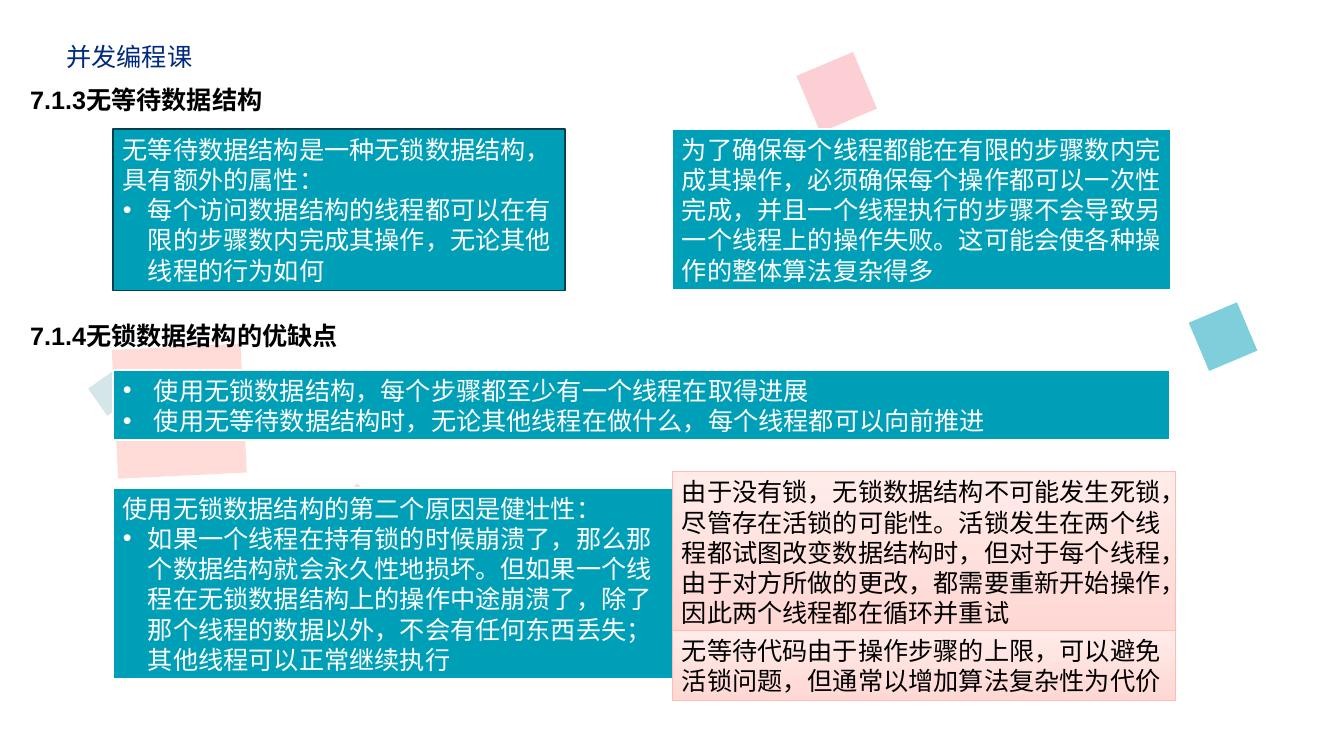
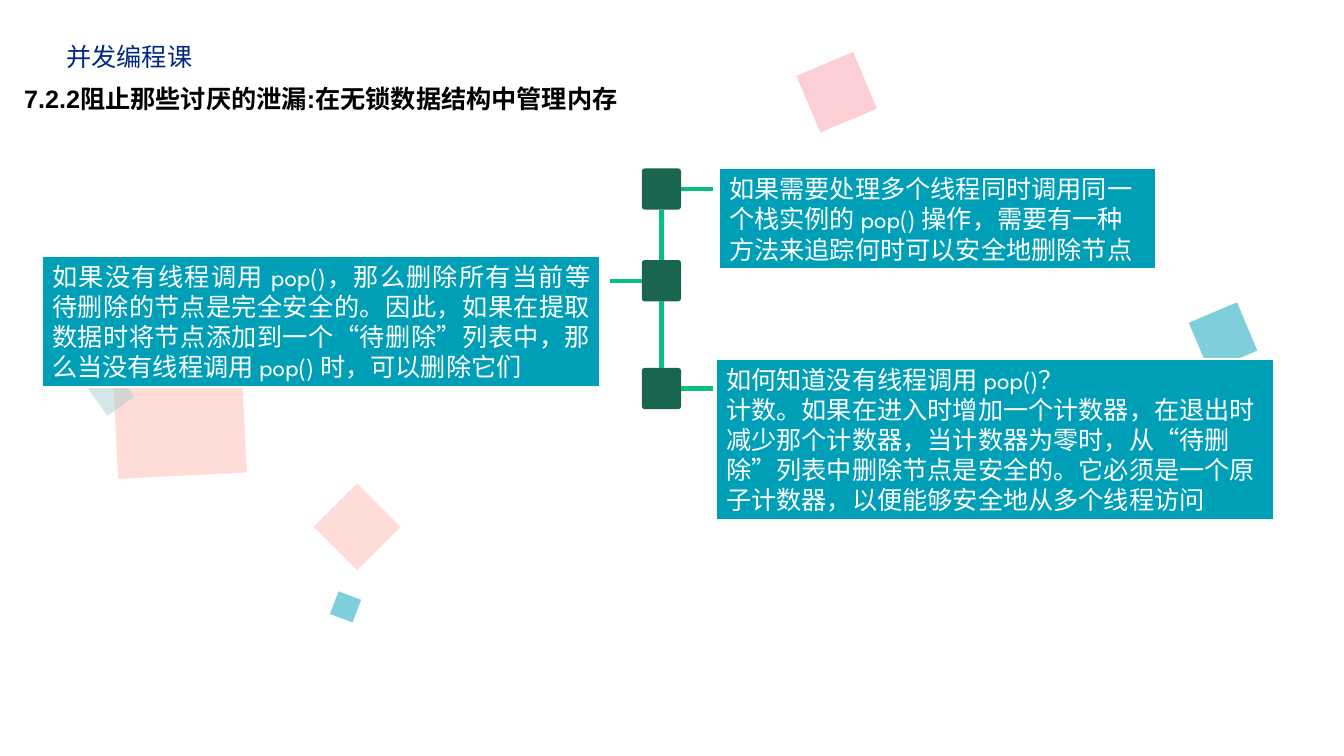
from pptx import Presentation
from pptx.dml.color import RGBColor
from pptx.enum.shapes import MSO_CONNECTOR, MSO_SHAPE
from pptx.enum.text import MSO_ANCHOR, MSO_AUTO_SIZE, PP_ALIGN
from pptx.oxml.ns import qn
from pptx.util import Inches, Pt
from lxml.etree import SubElement

COLORS = {
    "brand": "002A7E", "heading": "000000", "white": "FFFFFF",
    "teal": "009FB8", "teal_edge": "00404C",
    "blush_top": "FFECE9", "blush_bottom": "FFD7D3", "blush": "FFBBB3",
    "rose": "FAA0AA", "mist": "AACED2",
    "node": "1A6550", "link": "0CBE7C",
}
BODY_FONT, HEADING_FONT, BRAND_FONT = "League Spartan", "Arial", "Noto Sans CJK JP"
TEXT_SIZE = Pt(18)

# left, top, side, rotation, colour
CONFETTI = [
    (1.14, 3.44, 1.28, 357.2, "blush"),
    (3.24, 4.92, 0.61, 315, "blush"),
    (0.94, 3.73, 0.33, 324.4, "mist"),
    (8, 0.61, 0.61, 337.1, "rose"),
    (11.88, 3.08, 0.52, 337.1, "teal"),
]
SMALL_CONFETTI = (3.31, 5.9, 0.24, 290.5, "teal")


def rgb(name):
    return RGBColor.from_string(COLORS[name])


def style_paragraph(paragraph, font_name, color, bold=False, align=PP_ALIGN.LEFT):
    paragraph.alignment = align
    font = paragraph.font
    font.size, font.name, font.bold = TEXT_SIZE, font_name, bold
    font.color.rgb = rgb(color)


def set_frame(frame, anchor):
    frame.word_wrap = True
    frame.auto_size = MSO_AUTO_SIZE.NONE
    frame.vertical_anchor = anchor
    frame.margin_left = frame.margin_right = Inches(0.1)
    frame.margin_top = frame.margin_bottom = Inches(0.05)


def add_block(slide, kind, box, color):
    """Add a plain filled shape without outline or shadow."""
    block = slide.shapes.add_shape(kind, *map(Inches, box))
    block.shadow.inherit = False
    block.fill.solid()
    block.fill.fore_color.rgb = rgb(color)
    block.line.fill.background()
    return block


def add_confetti(slide, pieces):
    for left, top, side, rotation, color in pieces:
        piece = add_block(slide, MSO_SHAPE.RECTANGLE, (left, top, side, side), color)
        piece.rotation = rotation
        tint = next(piece._element.spPr.iter(qn("a:srgbClr")))
        SubElement(tint, qn("a:alpha")).set("val", "50000")


def write_line(holder, box, text, font_name, color, bold=False):
    """Place a one-line title or label."""
    holder.left, holder.top, holder.width, holder.height = map(Inches, box)
    frame = holder.text_frame
    set_frame(frame, MSO_ANCHOR.TOP)
    frame.text = text
    style_paragraph(frame.paragraphs[0], font_name, color, bold)


def write_heading(holder, left, top, text):
    write_line(holder, (left, top, 6.66, 0.4), text, HEADING_FONT, "heading", True)


def start_slide(prs, left, top, title, confetti):
    slide = prs.slides.add_slide(prs.slide_layouts[5])
    add_confetti(slide, confetti)
    brand = slide.shapes.add_textbox(0, 0, 0, 0)
    write_line(brand, (0.56, 0.36, 1.49, 0.4), "并发编程课", BRAND_FONT, "brand")
    write_heading(slide.shapes.title, left, top, title)
    return slide


def add_bullet(paragraph, indent):
    properties = paragraph._p.get_or_add_pPr()
    properties.set("marL", str(Inches(indent)))
    properties.set("indent", str(-Inches(indent)))
    SubElement(properties, qn("a:buFont")).set("typeface", "Arial")
    SubElement(properties, qn("a:buChar")).set("char", "•")


def add_panel(slide, box, lead=(), bullets=(), indent=0.25, edge="white",
              edge_width=1.5, text_color="white", align=PP_ALIGN.LEFT):
    """Add a teal panel with plain lead paragraphs, then bulleted ones."""
    panel = add_block(slide, MSO_SHAPE.RECTANGLE, box, "teal")
    panel.line.color.rgb = rgb(edge)
    panel.line.width = Pt(edge_width)
    frame = panel.text_frame
    set_frame(frame, MSO_ANCHOR.MIDDLE)
    for number, text in enumerate([*lead, *bullets]):
        paragraph = frame.add_paragraph() if number else frame.paragraphs[0]
        paragraph.text = text
        if number >= len(lead):
            add_bullet(paragraph, indent)
        style_paragraph(paragraph, BODY_FONT, text_color, align=align)
    return panel


def add_blush_panel(slide, box, text):
    panel = add_panel(slide, box, [text], edge="blush", edge_width=0.5,
                      text_color="heading")
    panel.fill.gradient()
    panel.fill.gradient_angle = 270
    stops = panel.fill.gradient_stops
    for stop, position, color in zip(stops, (0, 1), ("blush_top", "blush_bottom")):
        stop.position = position
        stop.color.rgb = rgb(color)


def add_link(slide, start, side, end=None, end_side=None, reach=None):
    """Link a node's side to another node, or run level to x = reach."""
    y = start.top + start.height // 2
    link = slide.shapes.add_connector(
        MSO_CONNECTOR.STRAIGHT, start.left, y, Inches(reach or 0), y)
    link.begin_connect(start, side)
    if end is not None:
        link.end_connect(end, end_side)
    link.line.color.rgb = rgb("link")
    link.line.width = Pt(3)
    SubElement(link._element.spPr, qn("a:effectLst"))


def add_timeline(slide, left, tops, branches):
    """Stack nodes, chain them, and branch each one to (side, x)."""
    nodes = []
    for top in tops:
        node = add_block(slide, MSO_SHAPE.ROUNDED_RECTANGLE,
                         (left, top, 0.39, 0.41), "node")
        node.adjustments[0] = 0.08
        nodes.append(node)
    for upper, lower in zip(nodes, nodes[1:]):
        add_link(slide, upper, 2, lower, 0)
    for node, (side, reach) in zip(nodes, branches):
        add_link(slide, node, side, reach=reach)


def build_wait_free_slide(prs):
    slide = start_slide(prs, 0.2, 0.79, "7.1.3无等待数据结构", CONFETTI)
    left, right = 1.12, 6.67
    add_panel(slide, (left, 1.28, 4.49, 1.6),
              ["无等待数据结构是一种无锁数据结构，具有额外的属性："],
              ["每个访问数据结构的线程都可以在有限的步骤数内完成其操作，无论其他线程的行为如何"],
              edge="teal_edge", edge_width=1)
    add_panel(slide, (right, 1.28, 4.95, 1.6),
              ["为了确保每个线程都能在有限的步骤数内完成其操作，必须确保每个操作都可以一次性完成，"
               "并且一个线程执行的步骤不会导致另一个线程上的操作失败。这可能会使各种操作的整体算法复杂得多"])
    pros_cons = slide.shapes.add_textbox(0, 0, 0, 0)
    write_heading(pros_cons, 0.2, 3.13, "7.1.4无锁数据结构的优缺点")
    add_panel(slide, (left, 3.67, 10.49, 0.7), bullets=[
        "使用无锁数据结构，每个步骤都至少有一个线程在取得进展",
        "使用无等待数据结构时，无论其他线程在做什么，每个线程都可以向前推进"], indent=0.31)
    add_panel(slide, (left, 4.84, 5.62, 1.9),
              ["使用无锁数据结构的第二个原因是健壮性："],
              ["如果一个线程在持有锁的时候崩溃了，那么那个数据结构就会永久性地损坏。"
               "但如果一个线程在无锁数据结构上的操作中途崩溃了，除了那个线程的数据以外，"
               "不会有任何东西丢失；其他线程可以正常继续执行"])
    add_blush_panel(slide, (right, 4.68, 5, 1.6),
                    "由于没有锁，无锁数据结构不可能发生死锁，尽管存在活锁的可能性。"
                    "活锁发生在两个线程都试图改变数据结构时，但对于每个线程，由于对方所做的更改，"
                    "都需要重新开始操作，因此两个线程都在循环并重试")
    add_blush_panel(slide, (right, 6.25, 5, 0.7),
                    "无等待代码由于操作步骤的上限，可以避免活锁问题，但通常以增加算法复杂性为代价")


def build_memory_slide(prs):
    slide = start_slide(prs, 0.14, 0.78,
                        "7.2.2阻止那些讨厌的泄漏:在无锁数据结构中管理内存",
                        [*CONFETTI, SMALL_CONFETTI])
    add_panel(slide, (0.42, 2.54, 5.54, 1.3),
              ["如果没有线程调用 pop()，那么删除所有当前等待删除的节点是完全安全的。"
               "因此，如果在提取数据时将节点添加到一个“待删除”列表中，"
               "那么当没有线程调用 pop() 时，可以删除它们"], align=PP_ALIGN.JUSTIFY)
    add_panel(slide, (7.11, 3.56, 5.54, 1.6),
              ["如何知道没有线程调用 pop()？",
               "计数。如果在进入时增加一个计数器，在退出时减少那个计数器，当计数器为零时，"
               "从“待删除”列表中删除节点是安全的。它必须是一个原子计数器，"
               "以便能够安全地从多个线程访问"])
    add_timeline(slide, 6.37, (1.67, 2.58, 3.65), [(3, 7.08), (1, 6.05), (3, 7.08)])
    add_panel(slide, (7.14, 1.67, 4.34, 1),
              ["如果需要处理多个线程同时调用同一个栈实例的 pop() 操作，"
               "需要有一种方法来追踪何时可以安全地删除节点"])


def main():
    prs = Presentation()
    prs.slide_width, prs.slide_height = Inches(13.34), Inches(7.5)
    build_wait_free_slide(prs)
    build_memory_slide(prs)
    prs.save("out.pptx")


if __name__ == "__main__":
    main()
